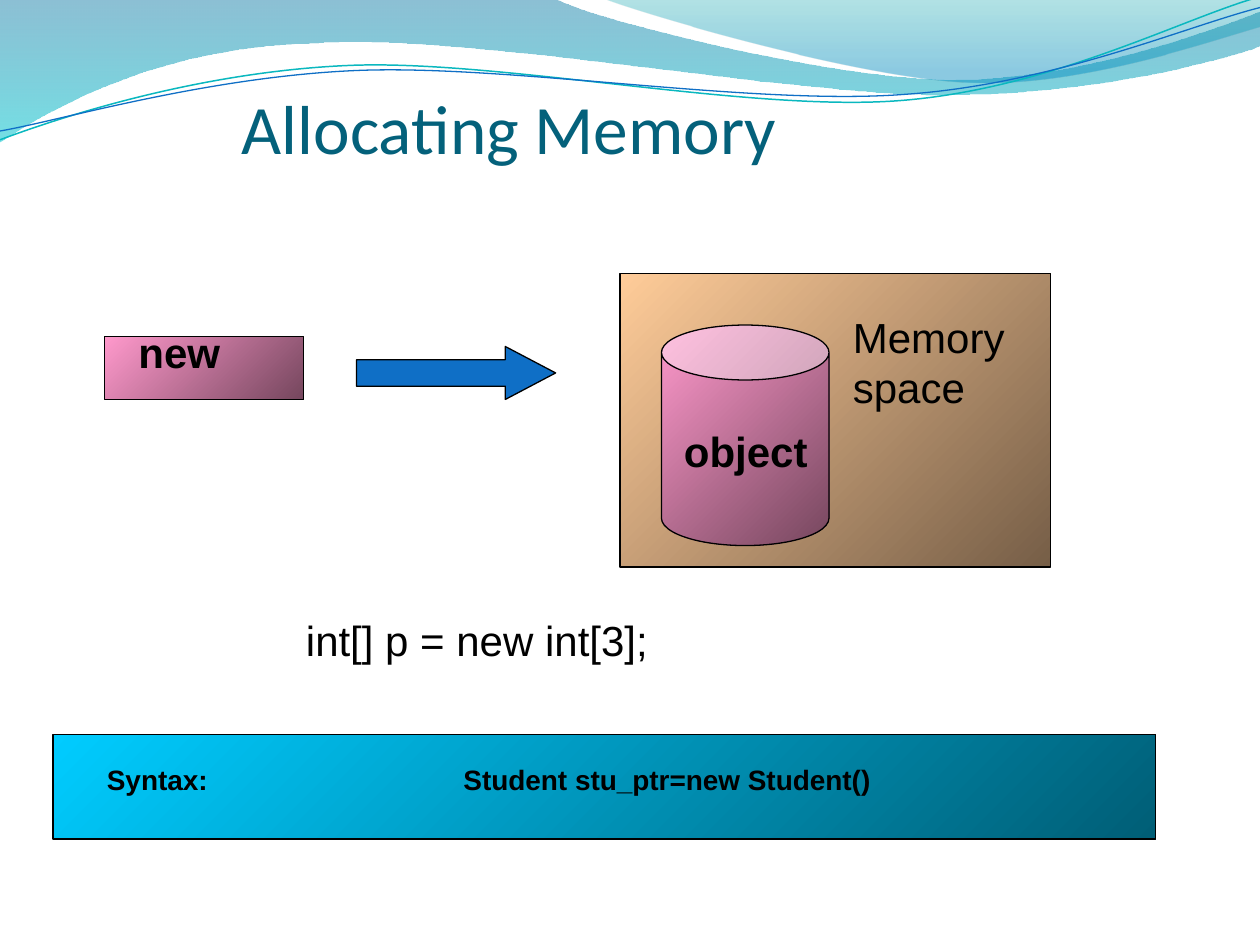
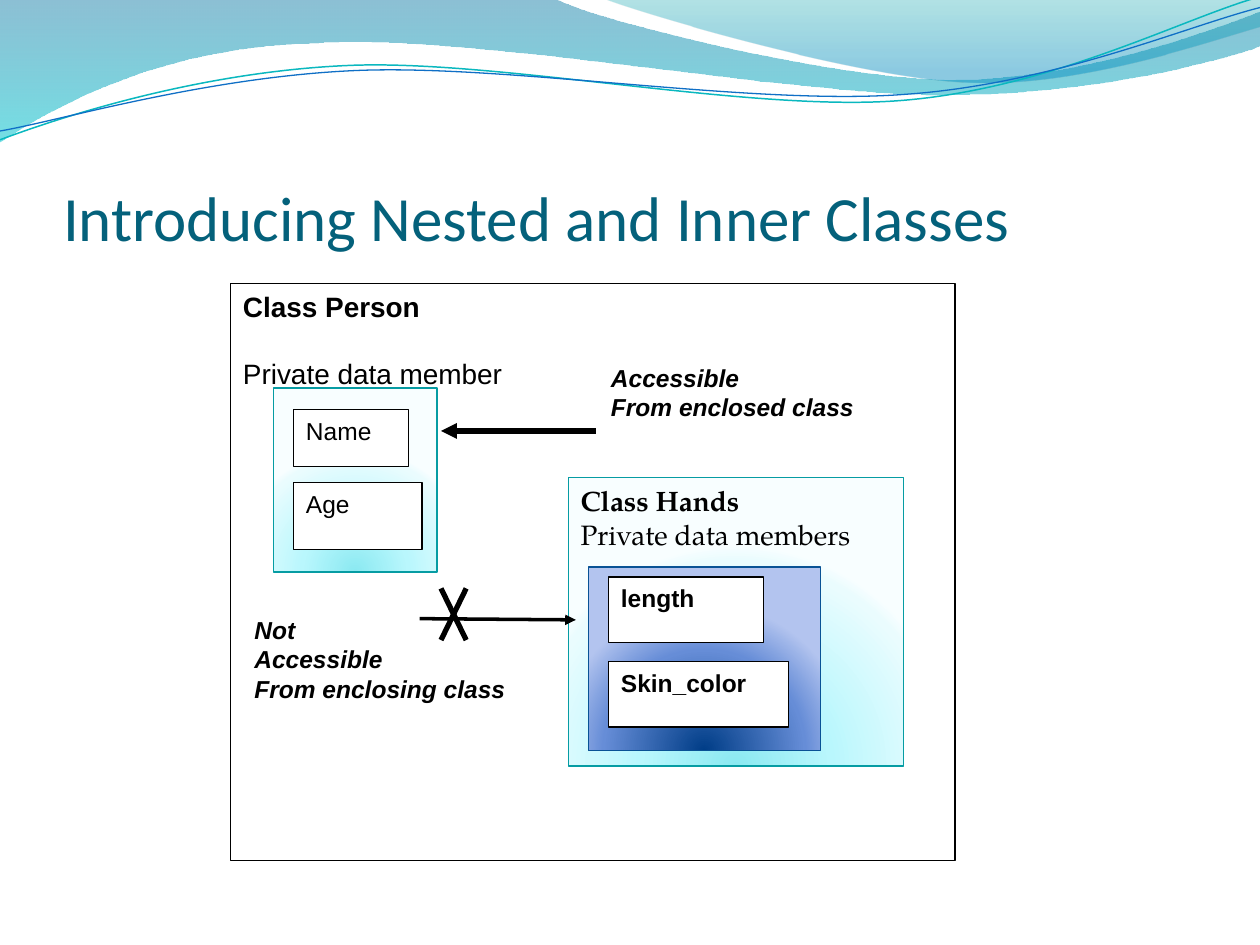
import pptx
import pptx.dml.color
import pptx.enum.shapes
import pptx.enum.text
import pptx.oxml
import pptx.oxml.ns
import pptx.util
from lxml import etree

Inches = pptx.util.Inches
Pt = pptx.util.Pt
RGBColor = pptx.dml.color.RGBColor
Shape = pptx.enum.shapes.MSO_SHAPE
qn = pptx.oxml.ns.qn

BLACK = RGBColor(0x00, 0x00, 0x00)
WHITE = RGBColor(0xFF, 0xFF, 0xFF)
TITLE = RGBColor(0x04, 0x61, 0x7B)
BLUE = RGBColor(0x0F, 0x6F, 0xC6)
TEAL = RGBColor(0x0A, 0xB8, 0xBF)
AQUA_LINE = RGBColor(0x06, 0x9C, 0xA3)
NAVY_LINE = RGBColor(0x09, 0x52, 0x95)


def stops(*entries):
    """Turn (position, hex colour[, opacity]) entries into gradient stops."""
    return [(entry[0], RGBColor.from_string(entry[1]), *entry[2:]) for entry in entries]


PINK = stops((0, "FF99CC"), (100, "76475E"))
TAN = stops((0, "FFCC99"), (100, "765E47"))
CYAN = stops((0, "00CCFF"), (100, "005E76"))
AQUA = stops((0, "8BE9F1"), (43, "B9F7FD"), (93, "EAFCFE"), (100, "F8FEFF"))
NAVY = stops((0, "003D87"), (68, "668DD7"), (100, "B3C4EF"))
WAVE_LEFT = stops((0, "0074A1", 45), (100, "00C6CF", 55))
WAVE_RIGHT = stops((0, "00A1A9", 30), (80, "008BBF", 45))

WAVE_FILLS = [
    (WAVE_LEFT, (0, 0), [
        [(4.4, -0.01)],
        [(4.76, 0.17), (6.64, 0.63), (7.58, 0.63)],
        [(8.53, 0.63), (9.58, 0.26), (10, 0.09)],
        [(10.01, 0.36)],
        [(9.83, 0.44), (8.7, 0.76), (7.46, 0.75)],
        [(6.22, 0.75), (3.82, 0.28), (2.57, 0.34)],
        [(1.29, 0.36), (0.46, 0.83), (-0.01, 1.13)]]),
    (WAVE_RIGHT, (4.79, -0.01), [
        [(5.09, 0.11), (6.82, 0.62), (7.69, 0.65)],
        [(8.56, 0.69), (9.61, 0.32), (10, 0.21)],
        [(10, 0)]]),
]
WAVE_LINES = [
    (TEAL, 0.85, (0, 1.11), [
        [(0.48, 0.93), (1.58, 0.57), (2.77, 0.52)],
        [(3.95, 0.47), (5.93, 0.89), (7.13, 0.8)],
        [(8.33, 0.71), (9.38, 0.15), (9.98, -0.02)]]),
    (BLUE, 0.75, (0, 1.04), [
        [(0.47, 0.96), (1.64, 0.61), (2.83, 0.56)],
        [(4.03, 0.51), (5.97, 0.84), (7.17, 0.75)],
        [(8.36, 0.67), (9.41, 0.21), (10, 0.06)]]),
]


def add_stop(stop_list, position, color, opacity=100):
    """Append one gradient stop with its opacity."""
    stop = etree.SubElement(stop_list, qn("a:gs"), pos=str(position * 1000))
    value = etree.SubElement(stop, qn("a:srgbClr"), val=str(color))
    if opacity < 100:
        etree.SubElement(value, qn("a:alpha"), val=str(opacity * 1000))


def fill_gradient(shape, gradient, angle=45):
    """Fill a shape linearly, or as a glow from below when angle is None."""
    shape.fill.solid()
    properties = shape.element.spPr
    fill = pptx.oxml.parse_xml(f'<a:gradFill {pptx.oxml.ns.nsdecls("a")} rotWithShape="1"/>')
    stop_list = etree.SubElement(fill, qn("a:gsLst"))
    for stop in gradient:
        add_stop(stop_list, *stop)
    if angle is None:
        glow = etree.SubElement(fill, qn("a:path"), path="circle")
        etree.SubElement(glow, qn("a:fillToRect"), l="50000", t="130000", r="50000", b="-30000")
    else:
        etree.SubElement(fill, qn("a:lin"), ang=str(angle * 60000), scaled="0")
    properties.replace(properties.find(qn("a:solidFill")), fill)


def within(box, left, top, width, height):
    """Offset a rectangle by the corner of the box that holds it."""
    return box[0] + left, box[1] + top, width, height


def add_shape(slide, box, kind=Shape.RECTANGLE, fill=WHITE, line=BLACK, angle=45):
    """Add a preset shape with a solid or gradient fill and a thin outline."""
    shape = slide.shapes.add_shape(kind, *map(Inches, box))
    shape.shadow.inherit = False
    if isinstance(fill, list):
        fill_gradient(shape, fill, angle)
    else:
        shape.fill.solid()
        shape.fill.fore_color.rgb = fill
    if line is None:
        shape.line.fill.background()
    else:
        shape.line.color.rgb = line
        shape.line.width = Pt(0.75)
    return shape


def write(shape, text, size=14, font="Arial", color=BLACK, bold=False, italic=False,
          append=False, space_before=0, anchor=pptx.enum.text.MSO_ANCHOR.TOP):
    """Write left-aligned lines of text into a shape."""
    frame = shape.text_frame
    frame.word_wrap = True
    frame.auto_size = pptx.enum.text.MSO_AUTO_SIZE.NONE
    frame.vertical_anchor = anchor
    for number, line in enumerate(text.split("\n")):
        first = number == 0 and not append
        paragraph = frame.paragraphs[0] if first else frame.add_paragraph()
        paragraph.alignment = pptx.enum.text.PP_ALIGN.LEFT
        paragraph.space_before = Pt(space_before)
        run = paragraph.add_run()
        run.text = line
        run.font.size, run.font.name = Pt(size), font
        run.font.bold, run.font.italic = bold, italic
        run.font.color.rgb = color


def add_label(slide, box, text, **format):
    """Add a plain text box."""
    write(slide.shapes.add_textbox(*map(Inches, box)), text, **format)


def add_line(slide, box, start, end, width=3, arrow=False):
    """Draw a black line between two points of a box."""
    points = [box[0] + start[0], box[1] + start[1], box[0] + end[0], box[1] + end[1]]
    connector = slide.shapes.add_connector(
        pptx.enum.shapes.MSO_CONNECTOR.STRAIGHT, *map(Inches, points))
    connector.line.color.rgb = BLACK
    connector.line.width = Pt(width)
    if arrow:
        etree.SubElement(connector.line._get_or_add_ln(), qn("a:tailEnd"), type="triangle")
    etree.SubElement(connector.element.spPr, qn("a:effectLst"))


def add_outline(slide, box, start, segments, close):
    """Build a freeform whose three-point segments are cubic curves."""
    points = [(Inches(box[0] + x), Inches(box[1] + y))
              for x, y in [start, *(point for segment in segments for point in segment)]]
    builder = slide.shapes.build_freeform(*points[0], scale=1.0)
    builder.add_line_segments(points[1:], close=close)
    shape = builder.convert_to_shape()
    shape.shadow.inherit = False
    steps = iter(list(shape.element.iter(qn("a:lnTo"))))
    for segment in segments:
        first, *others = [next(steps) for _ in segment]
        if others:
            curve = etree.Element(qn("a:cubicBezTo"))
            first.addprevious(curve)
            for step in (first, *others):
                curve.append(step[0])
                step.getparent().remove(step)
    return shape


def draw_waves(slide, box):
    """Draw the wave band and hand it to the layout that all slides share."""
    shapes = []
    for gradient, start, segments in WAVE_FILLS:
        shape = add_outline(slide, box, start, segments, True)
        fill_gradient(shape, gradient, 90)
        shape.line.fill.background()
        shapes.append(shape)
    for color, width, start, segments in WAVE_LINES:
        shape = add_outline(slide, box, start, segments, False)
        shape.fill.background()
        shape.line.color.rgb = color
        shape.line.width = Pt(width)
        shapes.append(shape)
    for shape in shapes:
        slide.slide_layout.shapes.element.append(shape.element)


def add_titled_slide(presentation, text, box, size):
    """Add a title-only slide and format its title."""
    slide = presentation.slides.add_slide(presentation.slide_layouts[5])
    title = slide.shapes.title
    title.left, title.top, title.width, title.height = map(Inches, box)
    write(title, text, size=size, font="Calibri", color=TITLE,
          anchor=pptx.enum.text.MSO_ANCHOR.BOTTOM)
    frame = title.text_frame
    frame.margin_left = frame.margin_right = frame.margin_bottom = 0
    frame.margin_top = Inches(0.05)
    return slide


def draw_allocation(slide, box):
    """Show new leading to an object in the memory space."""
    add_shape(slide, within(box, 0, 0.5, 1.58, 0.5), fill=PINK)
    add_label(slide, within(box, 0.17, 0.37, 1.08, 0.5), "new", size=24, bold=True)
    arrow = add_shape(slide, within(box, 2, 0.58, 1.58, 0.42), Shape.RIGHT_ARROW, BLUE)
    arrow.adjustments[1] = 0.95
    memory = within(box, 4.09, 0, 3.42, 2.33)
    add_shape(slide, memory, fill=TAN)
    can = add_shape(slide, within(memory, 0.33, 0.41, 1.33, 1.75), Shape.CAN, PINK)
    can.adjustments[0] = 0.328
    add_label(slide, within(memory, 1.75, 0.25, 1.75, 0.91), "Memory space", size=24)
    add_label(slide, within(memory, 0.41, 1.16, 1.25, 0.5), "object", size=24, bold=True)


def draw_syntax(slide, box):
    """Draw the syntax bar with its code."""
    add_shape(slide, box, fill=CYAN)
    for left, width, text in [(0.33, 1.92, "Syntax:"), (3.16, 5.25, "Student stu_ptr=new Student()")]:
        add_label(slide, within(box, left, 0.17, width, 0.37), text, size=16, bold=True)


def draw_members(slide, box, members, bold=False):
    """Draw the white member boxes of a class."""
    for name, top, width, height in members:
        write(add_shape(slide, within(box, 0.16, top, width, height)), name, bold=bold)


def draw_hands(slide, box):
    """Draw the inner class with its private members."""
    hands = add_shape(slide, box, fill=AQUA, line=AQUA_LINE, angle=None)
    write(hands, "Class Hands", size=16, font="TeX Gyre Pagella", bold=True)
    write(hands, "Private data members", size=16, font="TeX Gyre Pagella", append=True)
    private = within(box, 0.16, 0.71, 1.84, 1.46)
    add_shape(slide, private, fill=NAVY, line=NAVY_LINE, angle=None)
    draw_members(slide, private, [("length", 0.08, 1.23, 0.52), ("Skin_color", 0.75, 1.43, 0.52)], bold=True)


def draw_person(slide, box):
    """Draw the outer class, its inner class and who may access what."""
    person = add_shape(slide, box)
    write(person, "Class Person", size=16, bold=True)
    write(person, "Private data member", size=16, append=True, space_before=19)
    private = within(box, 0.34, 0.83, 1.3, 1.46)
    add_shape(slide, private, fill=AQUA, line=AQUA_LINE, angle=None)
    draw_members(slide, private, [("Name", 0.17, 0.91, 0.45), ("Age", 0.75, 1.02, 0.53)])
    draw_hands(slide, within(box, 2.68, 1.54, 2.66, 2.29))
    notes = [("Not\nAccessible\nFrom enclosing class", 0.09, 2.58, 2.58, 0.82),
             ("Accessible\nFrom enclosed class", 2.92, 0.58, 2.42, 0.65)]
    for text, *place in notes:
        write(add_shape(slide, within(box, *place), line=None), text, bold=True, italic=True)
    add_line(slide, box, (1.5, 2.66), (2.74, 2.67), width=2, arrow=True)
    add_line(slide, box, (2.9, 1.17), (1.67, 1.17), arrow=True)
    for start, end in [(1.67, 1.87), (1.87, 1.67)]:
        add_line(slide, box, (start, 2.42), (end, 2.83))


def main():
    """Build both slides and save them."""
    presentation = pptx.Presentation()
    presentation.slide_width, presentation.slide_height = Inches(10), Inches(7.5)

    memory = add_titled_slide(presentation, "Allocating Memory", (1.92, 0.58, 5.42, 0.76), 39.6)
    draw_waves(memory, (0, 0, 10, 1.14))
    draw_allocation(memory, (0.83, 2.17, 7.51, 2.33))
    draw_syntax(memory, (0.42, 5.83, 8.75, 0.83))
    add_label(memory, (2.33, 4.83, 4, 0.5), "int[] p = new int[3];", size=24)

    classes = add_titled_slide(presentation, "Introducing Nested and Inner Classes", (0.5, 0.77, 9.08, 1.25), 36)
    draw_person(classes, (1.83, 2.25, 5.75, 4.58))
    presentation.save("out.pptx")


if __name__ == "__main__":
    main()
